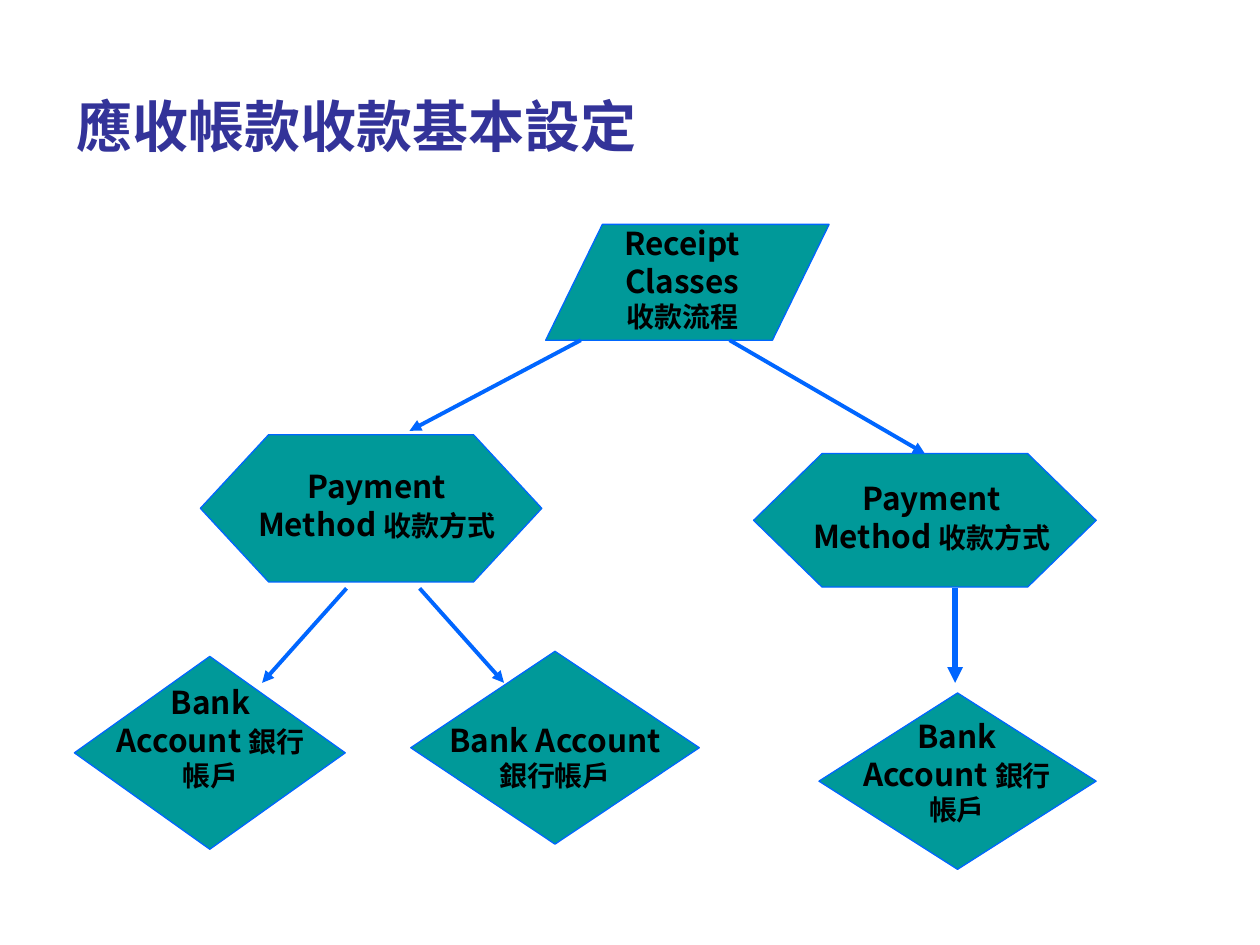
from collections import namedtuple

from lxml.etree import SubElement
from pptx import Presentation
from pptx.dml.color import RGBColor
from pptx.enum.shapes import MSO_CONNECTOR as Connector, MSO_SHAPE as Shape
from pptx.enum.text import MSO_ANCHOR as Anchor, MSO_AUTO_SIZE as AutoSize, PP_ALIGN as Align
from pptx.oxml.ns import qn
from pptx.util import Pt

Box = namedtuple("Box", "left top width height")
Node = namedtuple("Node", "kind english chinese box text_box")

COLORS = {"fill": "009999", "line": "0066FF", "text": "000000", "title": "333399"}
FONT = "Noto Sans CJK SC"
TITLE_BOX = Box(19.4, 43.2, 368.6, 56.2)
RECEIPT = (Shape.FLOWCHART_DATA, "Receipt Classes ", "收款流程")
PAYMENT = (Shape.FLOWCHART_PREPARATION, "Payment Method ", "收款方式")
BANK = (Shape.FLOWCHART_DECISION, "Bank Account ", "銀行帳戶")
NODES = {
    "receipt": Node(*RECEIPT, Box(311.8, 128.2, 162, 66.2), Box(347.8, 128.2, 84.2, 63.4)),
    "payment_left": Node(*PAYMENT, Box(114.5, 248.4, 195.1, 84.2), Box(137.5, 267.1, 155.5, 122.4)),
    "bank_left": Node(*BANK, Box(42.5, 375.1, 154.8, 110.2), Box(56.2, 390.2, 128.2, 79.9)),
    "bank_middle": Node(*BANK, Box(234.7, 372.2, 164.9, 110.2), Box(249.1, 411.8, 136.1, 79.9)),
    "bank_right": Node(*BANK, Box(468, 396, 158.4, 100.8), Box(481.7, 409.7, 130.3, 72.7)),
    "payment_right": Node(*PAYMENT, Box(430.6, 259.2, 195.8, 76.3), Box(454.3, 273.6, 156.2, 110.2)),
}
METHOD_EXIT, BANK_ENTRY, RECEIPT_EXIT = 336.2, 390.2, 194.4
ARROWS = [
    ((545.8, METHOD_EXIT), (545.8, BANK_ENTRY), 3, None),
    ((198, METHOD_EXIT), (149.8, BANK_ENTRY), 2.25, None),
    ((239.8, METHOD_EXIT), (288, BANK_ENTRY), 2.25, None),
    ((331.9, RECEIPT_EXIT), (234, 246.2), 2.25, None),
    ((416.9, RECEIPT_EXIT), (528.5, 259.2), 2.25, "payment_right"),
]


def color(name):
    """Return the named colour as an RGB value."""
    return RGBColor.from_string(COLORS[name])


def points(values):
    """Convert numbers to point lengths."""
    return [Pt(value) for value in values]


def apply(target, **values):
    """Set every given attribute on the target."""
    for name, value in values.items():
        setattr(target, name, value)


def add_run(paragraph, text, size, color_name):
    """Append a bold run in the slide font."""
    run = paragraph.add_run()
    run.text = text
    apply(run.font, name=FONT, size=Pt(size), bold=True)
    run.font.color.rgb = color(color_name)
    SubElement(run.font._element, qn("a:ea"), typeface=FONT)


def add_title(slide, box):
    """Place the slide heading in the title placeholder."""
    title = slide.shapes.title
    apply(title, **dict(zip(Box._fields, points(box))))
    apply(title.text_frame, vertical_anchor=Anchor.MIDDLE, word_wrap=True,
          auto_size=AutoSize.NONE)
    paragraph = title.text_frame.paragraphs[0]
    paragraph.alignment = Align.CENTER
    add_run(paragraph, "應收帳款收款基本設定", 32, "title")


def add_node(slide, node):
    """Draw one flowchart step with its bilingual label and return its outline."""
    group = slide.shapes.add_group_shape()
    shape = group.shapes.add_shape(node.kind, *points(node.box))
    shape.shadow.inherit = False
    shape.fill.solid()
    shape.fill.fore_color.rgb = color("fill")
    shape.line.color.rgb = color("line")
    shape.line.width = Pt(0.75)
    frame = group.shapes.add_textbox(*points(node.text_box)).text_frame
    apply(frame, word_wrap=True, auto_size=AutoSize.SHAPE_TO_FIT_TEXT,
          vertical_anchor=Anchor.TOP, margin_left=Pt(7.2), margin_right=Pt(7.2),
          margin_top=Pt(0), margin_bottom=Pt(0))
    paragraph = frame.paragraphs[0]
    paragraph.alignment = Align.CENTER
    add_run(paragraph, node.english, 18, "text")
    add_run(paragraph, node.chinese, 16, "text")
    return shape


def add_arrow(slide, start, end, width, target=None):
    """Draw an arrow, joined to the top of the target when there is one."""
    arrow = slide.shapes.add_connector(Connector.STRAIGHT, *points(start + end))
    if target is not None:
        arrow.end_connect(target, 0)
    arrow.line.color.rgb = color("line")
    arrow.line.width = Pt(width)
    SubElement(arrow.line._get_or_add_ln(), qn("a:tailEnd"), type="triangle")
    SubElement(arrow._element.spPr, qn("a:effectLst"))


def add_flowchart(slide):
    """Draw all steps and the arrows between them."""
    shapes = {name: add_node(slide, node) for name, node in NODES.items()}
    for start, end, width, target in ARROWS:
        add_arrow(slide, start, end, width, shapes.get(target))


def main():
    """Build and save the presentation."""
    presentation = Presentation()
    apply(presentation, slide_width=Pt(720), slide_height=Pt(540))
    slide = presentation.slides.add_slide(presentation.slide_layouts[5])
    add_title(slide, TITLE_BOX)
    add_flowchart(slide)
    presentation.save("out.pptx")


if __name__ == "__main__":
    main()
